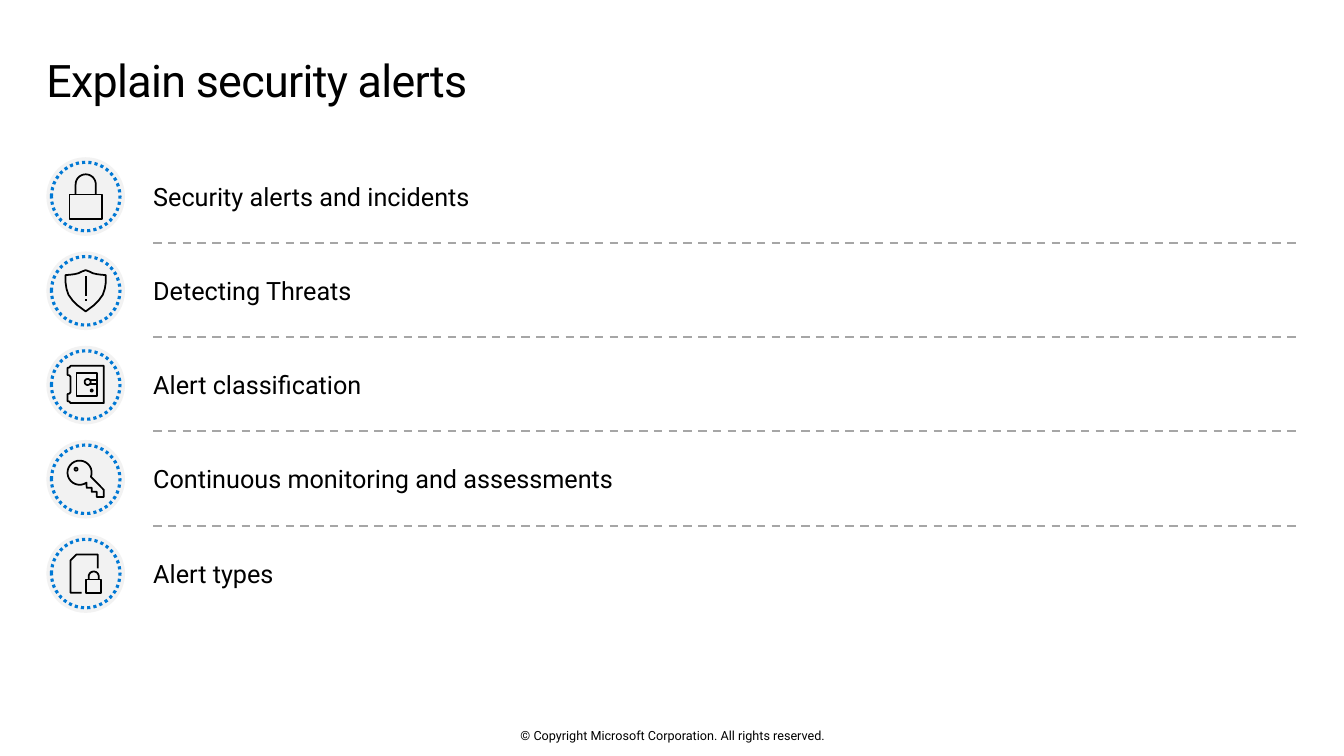
"""Build the security alerts agenda slide with five icon rows."""
from math import cos, radians, sin

from lxml import etree
from pptx import Presentation
from pptx.dml.color import RGBColor
from pptx.enum.dml import MSO_LINE
from pptx.enum.shapes import MSO_CONNECTOR, MSO_SHAPE
from pptx.enum.text import MSO_ANCHOR, PP_ALIGN
from pptx.oxml.ns import qn
from pptx.util import Inches, Pt

BLACK = RGBColor(0x00, 0x00, 0x00)
BLUE = RGBColor(0x00, 0x78, 0xD4)
GRAY = RGBColor(0xA6, 0xA6, 0xA6)
LIGHT = RGBColor(0xF2, 0xF2, 0xF2)
OVAL = MSO_SHAPE.OVAL
STRAIGHT = MSO_CONNECTOR.STRAIGHT
DASH, DOT = MSO_LINE.DASH, MSO_LINE.ROUND_DOT
TOP, MIDDLE = MSO_ANCHOR.TOP, MSO_ANCHOR.MIDDLE
LEFT, CENTER = PP_ALIGN.LEFT, PP_ALIGN.CENTER
PITCH = 0.935
CENTER_X, CENTER_Y = 0.85, 1.95


def arc(cx, cy, radius, start, end, steps=24):
    angles = [radians(start + (end - start) * i / steps) for i in range(steps + 1)]
    return [(cx + radius * cos(a), cy + radius * sin(a)) for a in angles]


def write(sp, text, size, align, anchor, margins=(0, 0, 0, 0)):
    tf = sp.text_frame
    left, top, right, bottom = map(Inches, margins)
    frame = {"word_wrap": True, "vertical_anchor": anchor, "margin_left": left,
             "margin_top": top, "margin_right": right, "margin_bottom": bottom}
    for name, value in frame.items():
        setattr(tf, name, value)
    p = tf.paragraphs[0]
    p.alignment = align
    r = p.add_run()
    r.text = text
    for name, value in {"name": "Roboto", "size": Pt(size), "bold": False}.items():
        setattr(r.font, name, value)
    r.font.color.rgb = BLACK
    return p


shield_half = [(0, -0.205), (0.04, -0.19), (0.07, -0.175), (0.11, -0.165),
               (0.15, -0.16), (0.2, -0.155), (0.2, -0.085), (0.19, -0.02),
               (0.17, 0.04), (0.13, 0.095), (0.08, 0.145), (0, 0.205)]
lock = [
    ([(0.16, 0.22), (-0.16, 0.22), (-0.16, -0.02), (0.16, -0.02)], True),
    ([(0.1, -0.02), *arc(0, -0.12, 0.1, 0, -180), (-0.1, -0.02)], False),
]
shield = [
    (shield_half + [(-x, y) for x, y in shield_half[-2:0:-1]], True),
    ([(0, -0.145), (0, 0.055)], False),
    ([(0, 0.085), (0, 0.105)], False),
]
safe = [
    ([(0.18, -0.19), (0.18, 0.18), (-0.15, 0.18), (-0.16, 0.165), (-0.18, 0.16),
      (-0.18, 0.09), (-0.16, 0.085), (-0.15, 0.07), (-0.15, -0.08), (-0.16, -0.095),
      (-0.18, -0.1), (-0.18, -0.17), (-0.16, -0.175), (-0.15, -0.19)], True),
    ([(0.11, -0.12), (-0.09, -0.12), (-0.09, 0.11), (0.11, 0.11)], True),
    (arc(0.02, -0.03, 0.03, 0, 345), True),
    (arc(0.06, 0.055, 0.01, 0, 345), True),
    ([(0.04, -0.05), (0.11, -0.05)], False),
    ([(0.04, -0.01), (0.11, -0.01)], False),
]
key = [
    ([*arc(-0.06, -0.065, 0.12, 55, 380), (0.18, 0.105), (0.18, 0.175), (0.11, 0.175),
      (0.11, 0.125), (0.06, 0.125), (0.06, 0.085), (0.01, 0.085)], True),
    (arc(-0.095, -0.1, 0.015, 0, 345), True),
]
locked_file = [
    ([(-0.04, 0.19), (-0.15, 0.19), (-0.15, -0.13), (-0.09, -0.19), (0.12, -0.19),
      (0.12, -0.05)], False),
    ([(0.15, 0.06), (0, 0.06), (0, 0.19), (0.15, 0.19)], True),
    ([(0.13, 0.06), *arc(0.08, 0.03, 0.05, 0, -180), (0.03, 0.06)], False),
]
rows = [
    ("Security alerts and incidents", lock),
    ("Detecting Threats", shield),
    ("Alert classification", safe),
    ("Continuous monitoring and assessments", key),
    ("Alert types", locked_file),
]

prs = Presentation()
prs.slide_width, prs.slide_height = Inches(13.33), Inches(7.5)
s = prs.slides.add_slide(prs.slide_layouts[5])

title = s.shapes.title
title.left, title.top, title.width, title.height = map(Inches, (0.46, 0.48, 12.4, 0.74))
p = write(title, "Explain security alerts", 32, LEFT, TOP, (0, 0.1, 0.16, 0.1))
p.line_spacing = 0.9
p.runs[0].font._element.set("spc", "-50")

for i in range(len(rows) - 1):
    y = Inches(2.41 + i * PITCH)
    divider = s.shapes.add_connector(STRAIGHT, Inches(1.52), y, Inches(12.86), y)
    divider.line.color.rgb = GRAY
    divider.line.width = Pt(1.5)
    divider.line.dash_style = DASH
    etree.SubElement(divider._element.spPr, qn("a:effectLst"))

for i, (label, contours) in enumerate(rows):
    cy = CENTER_Y + i * PITCH
    group = s.shapes.add_group_shape()
    disc, ring = [
        group.shapes.add_shape(OVAL, Inches(CENTER_X - d / 2), Inches(cy - d / 2),
                               Inches(d), Inches(d))
        for d in (0.78, 0.68)
    ]
    disc.fill.solid()
    disc.fill.fore_color.rgb = LIGHT
    disc.line.fill.background()

    builder = None
    for contour, closed in contours:
        points = [(Inches(CENTER_X + x), Inches(cy + y)) for x, y in contour]
        if builder is None:
            builder = group.shapes.build_freeform(*points[0])
        else:
            builder.move_to(*points[0])
        builder.add_line_segments(points[1:], close=closed)
    icon = builder.convert_to_shape()

    for sp, color, width in ((ring, BLUE, 2.25), (icon, BLACK, 1.25)):
        sp.fill.background()
        sp.line.color.rgb = color
        sp.line.width = Pt(width)
    ring.line.dash_style = DOT
    for sp in (disc, ring, icon):
        sp.shadow.inherit = False

    box = s.shapes.add_textbox(Inches(1.52), Inches(1.59 + i * PITCH),
                               Inches(11.36), Inches(0.71))
    write(box, label, 18, LEFT, MIDDLE)

footer = s.shapes.add_textbox(Inches(4.42), Inches(7.22), Inches(4.5), Inches(0.15))
write(footer, "© Copyright Microsoft Corporation. All rights reserved.", 9, CENTER, MIDDLE)

prs.save("out.pptx")
